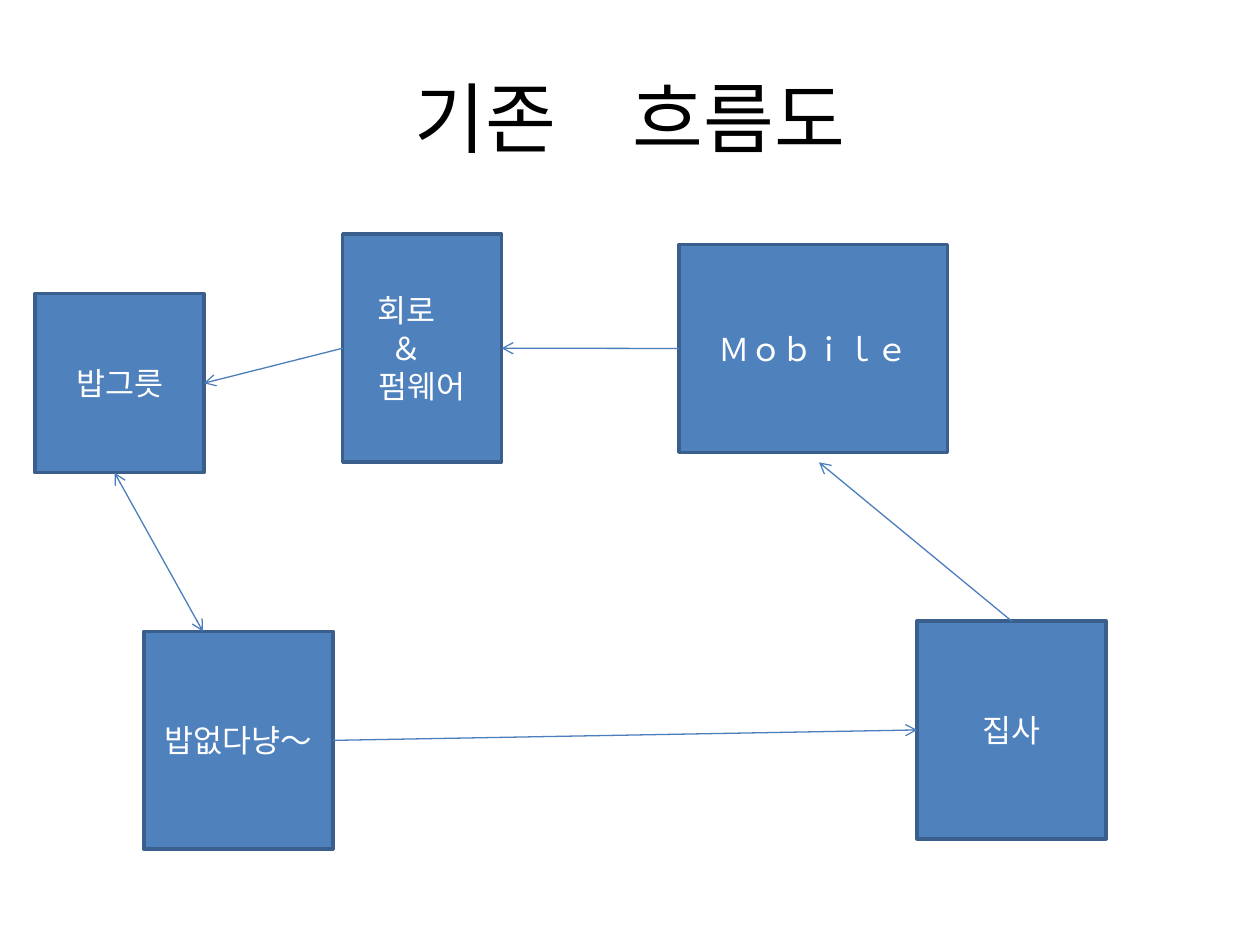
from pptx import Presentation
from pptx.dml.color import RGBColor
from pptx.enum.shapes import MSO_CONNECTOR as Connector, MSO_SHAPE as Shape
from pptx.enum.text import MSO_ANCHOR as Anchor, PP_ALIGN as Align
from pptx.oxml.ns import qn
from pptx.util import Cm, Pt
from lxml.etree import SubElement

TOP, LEFT, BOTTOM, RIGHT = range(4)


def color(value):
    return RGBColor.from_string(value)


class FlowSlide:
    font = "Noto Sans CJK KR"
    box_fill = "4F81BD"
    box_line = "3A5F8C"
    arrow_line = "4B7EBC"

    def __init__(self, presentation):
        self.slide = presentation.slides.add_slide(presentation.slide_layouts[5])

    def label(self, shape, text, size, text_color):
        frame = shape.text_frame
        frame.word_wrap = True
        frame.vertical_anchor = Anchor.MIDDLE
        paragraph = frame.paragraphs[0]
        paragraph.alignment = Align.CENTER
        run = paragraph.add_run()
        run.text = text
        run.font.size = Pt(size)
        run.font.color.rgb = color(text_color)
        run.font.name = self.font
        SubElement(run.font._element, qn("a:ea"), typeface=self.font)

    def title(self, text, left, top, width, height):
        shape = self.slide.shapes.title
        shape.left, shape.top = Cm(left), Cm(top)
        shape.width, shape.height = Cm(width), Cm(height)
        self.label(shape, text, 44, "000000")

    def box(self, text, left, top, width, height):
        shape = self.slide.shapes.add_shape(
            Shape.RECTANGLE, Cm(left), Cm(top), Cm(width), Cm(height))
        shape.shadow.inherit = False
        shape.fill.solid()
        shape.fill.fore_color.rgb = color(self.box_fill)
        shape.line.color.rgb = color(self.box_line)
        shape.line.width = Pt(2)
        self.label(shape, text, 18, "FFFFFF")
        return shape

    def arrow(self, begin=(0, 0), end=(0, 0), begin_at=None, end_at=None, both=False):
        connector = self.slide.shapes.add_connector(
            Connector.STRAIGHT, *map(Cm, begin), *map(Cm, end))
        if begin_at:
            connector.begin_connect(*begin_at)
        if end_at:
            connector.end_connect(*end_at)
        connector.line.color.rgb = color(self.arrow_line)
        connector.line.width = Pt(0.75)
        line = connector.line._get_or_add_ln()
        if both:
            SubElement(line, qn("a:headEnd"), type="arrow")
        SubElement(line, qn("a:tailEnd"), type="arrow")
        SubElement(connector._element.spPr, qn("a:effectLst"))


def main():
    presentation = Presentation()
    presentation.slide_width, presentation.slide_height = Cm(25.4), Cm(19.05)
    flow = FlowSlide(presentation)

    flow.title("기존　흐름도", 1.27, 0.76, 22.86, 3.18)
    circuit = flow.box("회로　＆　펌웨어", 6.91, 4.72, 3.2, 4.6)
    mobile = flow.box("Ｍｏｂｉｌｅ", 13.69, 4.93, 5.41, 4.19)
    hungry_cat = flow.box("밥없다냥～", 2.9, 12.73, 3.81, 4.39)
    butler = flow.box("집사", 18.49, 12.52, 3.81, 4.39)
    bowl = flow.box("밥그릇", 0.71, 5.92, 3.4, 3.61)

    flow.arrow(begin_at=(hungry_cat, RIGHT), end_at=(butler, LEFT))
    flow.arrow(begin_at=(butler, TOP), end=(16.51, 9.32))
    flow.arrow(begin_at=(mobile, LEFT), end_at=(circuit, RIGHT))
    flow.arrow(begin_at=(circuit, LEFT), end_at=(bowl, RIGHT))
    flow.arrow(begin=(2.31, 9.53), end=(4.09, 12.73), both=True)

    presentation.save("out.pptx")


if __name__ == "__main__":
    main()
